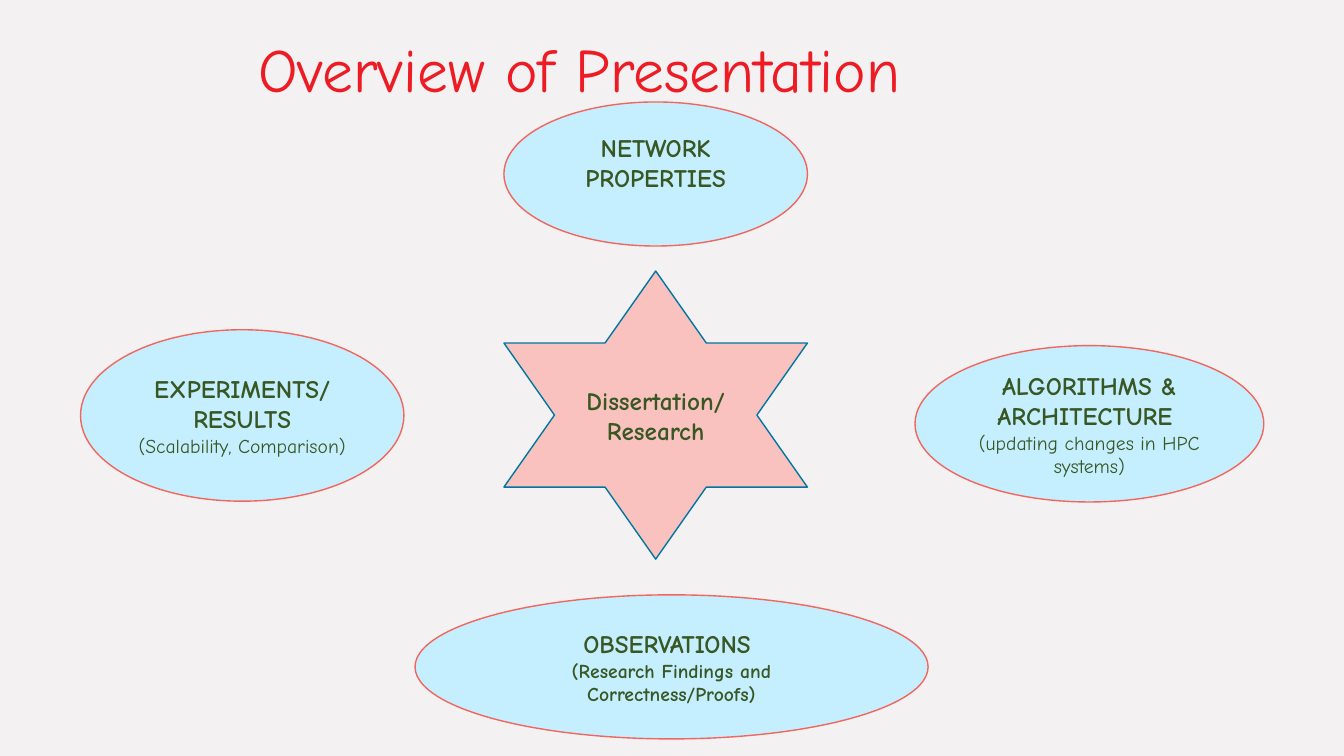
from pptx import Presentation
from pptx import util as u
from pptx.dml.color import RGBColor
from pptx.enum import shapes, text

PAPER = RGBColor(0xF3, 0xF1, 0xF1)
RED = RGBColor(0xED, 0x1C, 0x24)
CORAL = RGBColor(0xF2, 0x66, 0x5E)
SKY = RGBColor(0xC5, 0xEF, 0xFF)
PINK = RGBColor(0xFA, 0xC2, 0xBF)
BLUE = RGBColor(0x00, 0x76, 0xA3)
GREEN = RGBColor(0x38, 0x57, 0x23)


class Board:
    """Draws titles, topic ovals and the central star on one slide."""

    face = "Comic Neue"

    def __init__(self, slide):
        self.slide = slide
        fill = slide.background.fill
        fill.solid()
        fill.fore_color.rgb = PAPER

    def label(self, shape, lines, color):
        frame = shape.text_frame
        frame.word_wrap = True
        frame.vertical_anchor = text.MSO_ANCHOR.MIDDLE
        frame.text = "\n".join(words for words, size, bold in lines)
        for para, (words, size, bold) in zip(frame.paragraphs, lines):
            para.alignment = text.PP_ALIGN.CENTER
            for run in para.runs:
                font = run.font
                font.name, font.size, font.bold = self.face, u.Pt(size), bold
                font.color.rgb = color
        return frame

    def title(self, words, box):
        shape = self.slide.shapes.add_textbox(*map(u.Cm, box))
        frame = self.label(shape, [(words, 44, False)], RED)
        frame.paragraphs[0].line_spacing = 0.9

    def form(self, kind, box, lines, fill, edge):
        shape = self.slide.shapes.add_shape(kind, *map(u.Cm, box))
        shape.shadow.inherit = False
        shape.fill.solid()
        shape.fill.fore_color.rgb = fill
        shape.line.color.rgb = edge
        shape.line.width = u.Pt(1)
        return self.label(shape, lines, GREEN)

    def oval(self, box, head, note=None, bold=False):
        lines = [(head, 18, True)]
        if note:
            lines.append((note, 14, bold))
        return self.form(shapes.MSO_SHAPE.OVAL, box, lines, SKY, CORAL)

    def star(self, box, *words):
        lines = [(word, 18, True) for word in words]
        self.form(shapes.MSO_SHAPE.STAR_6_POINT, box, lines, PINK, BLUE)


def main():
    deck = Presentation()
    deck.slide_width, deck.slide_height = u.Cm(33.87), u.Cm(19.05)
    board = Board(deck.slides.add_slide(deck.slide_layouts[6]))

    board.title("Overview of Presentation", (0, 0, 29.21, 3.68))
    top = board.oval((12.7, 2.57, 7.65, 3.63), "NETWORK PROPERTIES")
    top.margin_bottom = u.Cm(0.72)
    board.oval((23.06, 8.71, 8.79, 3.94), "ALGORITHMS & ARCHITECTURE ",
               "(updating changes in HPC systems)")
    board.oval((10.46, 14.99, 12.93, 3.63), "OBSERVATIONS ",
               "(Research Findings and Correctness/Proofs)", bold=True)
    board.oval((2.03, 8.31, 8.15, 4.32), "EXPERIMENTS/RESULTS",
               "(Scalability, Comparison)")
    board.star((12.7, 6.83, 7.65, 7.26), "Dissertation/", "Research")

    deck.save("out.pptx")


if __name__ == "__main__":
    main()
